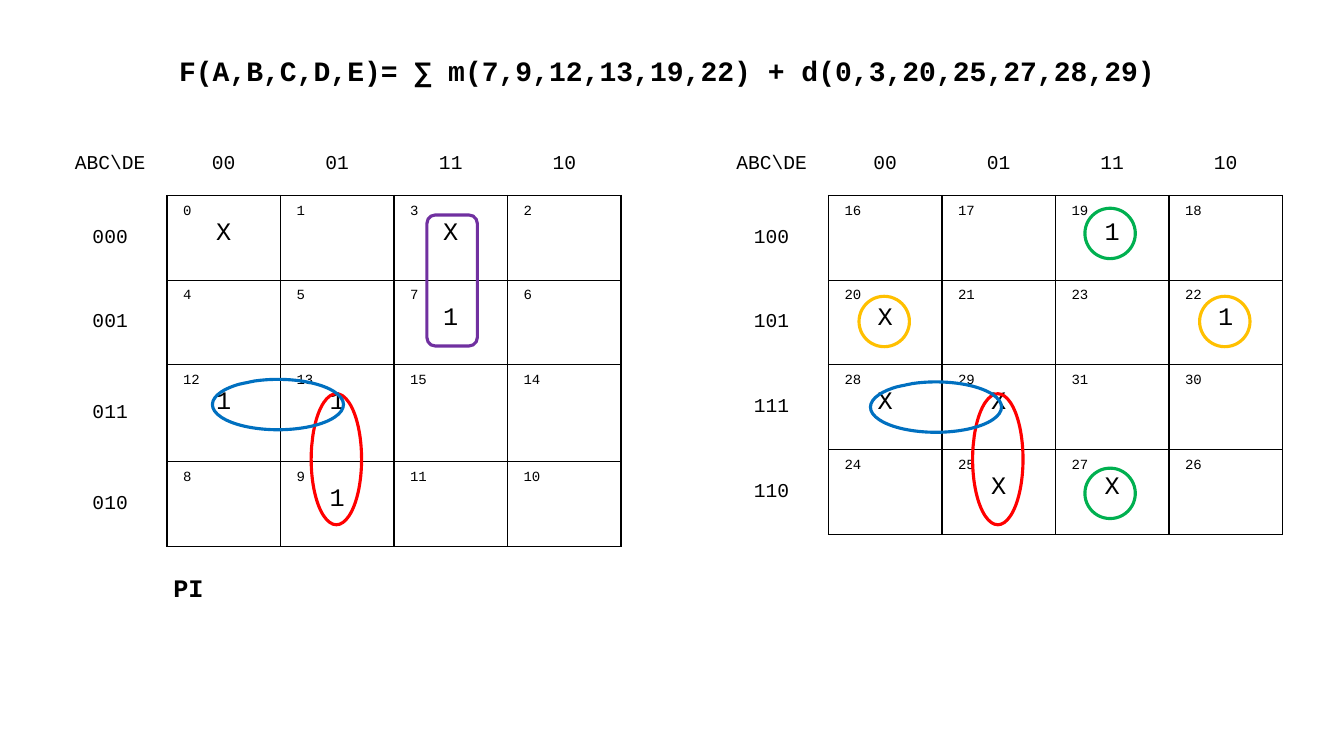
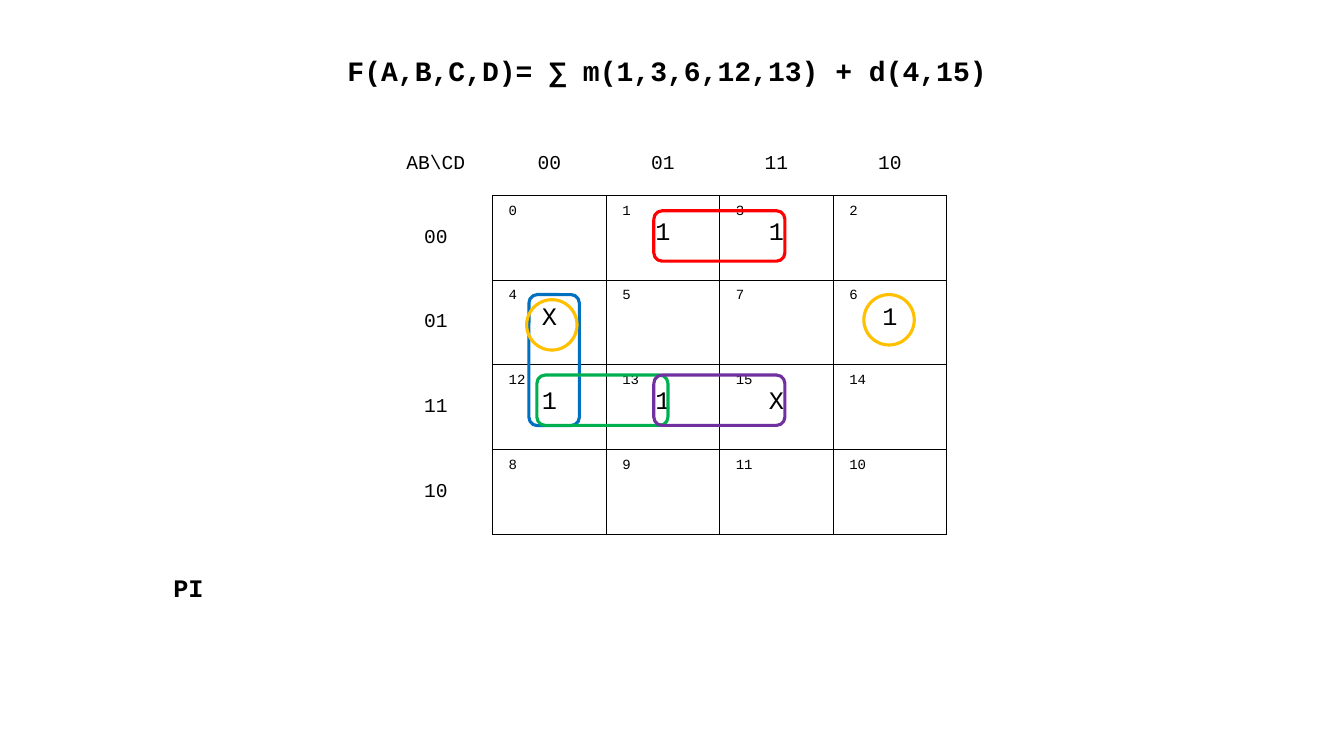
"""Build two slides of Karnaugh maps with their grouped prime implicants."""
from dataclasses import dataclass

from lxml import etree
from pptx import Presentation
from pptx.dml.color import RGBColor
from pptx.enum.shapes import MSO_SHAPE
from pptx.enum.text import MSO_ANCHOR, MSO_AUTO_SIZE, PP_ALIGN
from pptx.oxml.ns import qn
from pptx.util import Inches, Pt

LEFT, MID = PP_ALIGN.LEFT, PP_ALIGN.CENTER
TOP, CORE = MSO_ANCHOR.TOP, MSO_ANCHOR.MIDDLE
GROW = MSO_AUTO_SIZE.SHAPE_TO_FIT_TEXT
OVAL, ROUND, CHORD = MSO_SHAPE.OVAL, MSO_SHAPE.ROUNDED_RECTANGLE, MSO_SHAPE.CHORD

WIDE, HIGH = 13.33, 7.5
GRAY = (0, 1, 3, 2)
SIDES = "LRTB"
MAP_TOP, MAP_WIDE = 1.32, 5.63
COL, ROW, HEAD = MAP_WIDE / 5, 0.84, 0.62
SHORT, LONG = 0.5, 1.3


@dataclass(frozen=True)
class Theme:
    """Hold the colours and type sizes of the deck."""
    font: str = "Courier New"
    ink: str = "000000"
    paper: str = "FFFFFF"
    red: str = "FF0000"
    green: str = "00B050"
    blue: str = "0070C0"
    gold: str = "FFC000"
    plum: str = "7030A0"
    title: int = 20
    mark: int = 18
    label: int = 14
    index: int = 10
    ring: float = 2.25
    rule: int = 1


@dataclass(frozen=True)
class Sums:
    """Hold a function's variables, minterms and don't-cares."""
    names: str
    ones: tuple
    cares: tuple

    def title(self):
        """Return the function in sum notation."""
        args, ones, cares = (",".join(map(str, part)) for part in (self.names, self.ones, self.cares))
        return f"F({args})= ∑ m({ones}) + d({cares})"

    def mark(self, term):
        """Return the sign that a term carries, if any."""
        return "1" if term in self.ones else "X" if term in self.cares else ""


@dataclass(frozen=True)
class Ring:
    """Hold one group: outline, colour, grid place and size."""
    form: int
    hue: str
    col: float
    row: float
    wide: float = SHORT
    high: float = SHORT


LOOK = Theme()
FIVE = Sums("ABCDE", (7, 9, 12, 13, 19, 22), (0, 3, 20, 25, 27, 28, 29))
FOUR = Sums("ABCD", (1, 3, 6, 12, 13), (4, 15))
LOW = (
    Ring(CHORD, LOOK.red, 1.27, 2.34, high=LONG),
    Ring(ROUND, LOOK.plum, 2.29, 0.23, high=LONG),
    Ring(CHORD, LOOK.blue, 0.4, 2.17, wide=LONG),
)
UPPER = (
    Ring(CHORD, LOOK.red, 1.27, 2.34, high=LONG),
    Ring(OVAL, LOOK.green, 2.26, 3.22),
    Ring(OVAL, LOOK.green, 2.26, 0.15),
    Ring(OVAL, LOOK.gold, 3.27, 1.19),
    Ring(OVAL, LOOK.gold, 0.27, 1.19),
    Ring(CHORD, LOOK.blue, 0.37, 2.2, wide=LONG),
)
SINGLE = (
    Ring(ROUND, LOOK.red, 1.42, 0.18, wide=LONG),
    Ring(ROUND, LOOK.blue, 0.32, 1.17, high=LONG),
    Ring(ROUND, LOOK.green, 0.39, 2.12, wide=LONG),
    Ring(ROUND, LOOK.plum, 1.42, 2.12, wide=LONG),
    Ring(OVAL, LOOK.gold, 3.27, 1.17),
    Ring(OVAL, LOOK.gold, 0.3, 1.23),
)


def style(para, size, align=LEFT, bold=False):
    """Format a paragraph and its runs."""
    para.alignment = align
    for run in para.runs:
        run.font.name, run.font.size, run.font.bold = LOOK.font, Pt(size), bold
        run.font.color.rgb = RGBColor.from_string(LOOK.ink)


def add_line(slide, text, box, size, align=LEFT):
    """Add a bold line of text in a box."""
    frame = slide.shapes.add_textbox(*map(Inches, box)).text_frame
    frame.word_wrap, frame.auto_size = True, GROW
    frame.text = text
    para = frame.paragraphs[0]
    para.line_spacing, para.space_before, para.space_after = 1.15, Pt(6), Pt(6)
    style(para, size, align, True)


def edge(cell, sides):
    """Rule the given sides of a cell and clear the rest."""
    props = cell._tc.get_or_add_tcPr()
    for side in SIDES:
        line = etree.SubElement(props, qn(f"a:ln{side}"), w=str(Pt(LOOK.rule)))
        if side in sides:
            fill = etree.SubElement(line, qn("a:solidFill"))
            etree.SubElement(fill, qn("a:srgbClr"), val=LOOK.ink)
        else:
            etree.SubElement(line, qn("a:noFill"))


def put(cell, text, sides, sizes, aligns, anchor):
    """Write, rule and fill one cell."""
    edge(cell, sides)
    cell.fill.solid()
    cell.fill.fore_color.rgb = RGBColor.from_string(LOOK.paper)
    cell.margin_left = cell.margin_right = Inches(0.16)
    cell.margin_top = cell.margin_bottom = Inches(0.08)
    cell.vertical_anchor = anchor
    cell.text_frame.text = text
    for para, size, align in zip(cell.text_frame.paragraphs, sizes, aligns):
        style(para, size, align)


def add_label(cell, text, sides=""):
    """Write a heading cell of a map."""
    put(cell, text, sides, (LOOK.label,), (MID,), CORE)


def add_term(cell, term, mark):
    """Write a numbered cell with its mark."""
    text = f"{term}\n{mark}" if mark else str(term)
    put(cell, text, SIDES, (LOOK.index, LOOK.mark), (LEFT, MID), TOP)


def add_ring(slide, left, ring):
    """Outline one group, placed by columns and rows of the map."""
    x = left + (1 + ring.col) * COL
    y = MAP_TOP + HEAD + ring.row * ROW
    shape = slide.shapes.add_shape(ring.form, *map(Inches, (x, y, ring.wide, ring.high)))
    shape.shadow.inherit = False
    shape.fill.background()
    shape.line.color.rgb = RGBColor.from_string(ring.hue)
    shape.line.width = Pt(LOOK.ring)
    if ring.form == CHORD:
        shape.rotation = 180
        shape.adjustments[0], shape.adjustments[1] = 27, 16.82


def add_map(slide, left, sums, rings, base=0, rows=(ROW,) * 4):
    """Add a map whose terms start at base, then its rings."""
    highs = (HEAD, *rows)
    box = (left, MAP_TOP, MAP_WIDE, sum(highs))
    table = slide.shapes.add_table(5, 5, *map(Inches, box)).table
    table.first_row = table.horz_banding = False
    for col in table.columns:
        col.width = Inches(COL)
    for row, high in zip(table.rows, highs):
        row.height = Inches(high)
    bits = len(sums.names) - 2
    add_label(table.cell(0, 0), f"{sums.names[:bits]}\\{sums.names[bits:]}")
    for i, code in enumerate(GRAY, 1):
        add_label(table.cell(0, i), f"{code:02b}", "B")
        add_label(table.cell(i, 0), f"{base // 4 + code:0{bits}b}", "R")
        for j, low in enumerate(GRAY, 1):
            term = base + 4 * code + low
            add_term(table.cell(i, j), term, sums.mark(term))
    for ring in rings:
        add_ring(slide, left, ring)


def add_page(deck, sums):
    """Add a slide with its title and its PI line."""
    slide = deck.slides.add_slide(deck.slide_layouts[6])
    add_line(slide, sums.title(), (0.87, 0.43, 11.5, 0.46), LOOK.title, MID)
    add_line(slide, "PI", (1.62, 5.58, 11.09, 0.43), LOOK.mark)
    return slide


def main():
    """Build and save the deck."""
    deck = Presentation()
    deck.slide_width, deck.slide_height = Inches(WIDE), Inches(HIGH)
    page = add_page(deck, FIVE)
    add_map(page, 7.09, FIVE, UPPER, base=16)
    add_map(page, 0.53, FIVE, LOW, rows=(ROW, ROW, 0.96, ROW))
    page = add_page(deck, FOUR)
    add_map(page, 3.76, FOUR, SINGLE)
    deck.save("out.pptx")


main()
